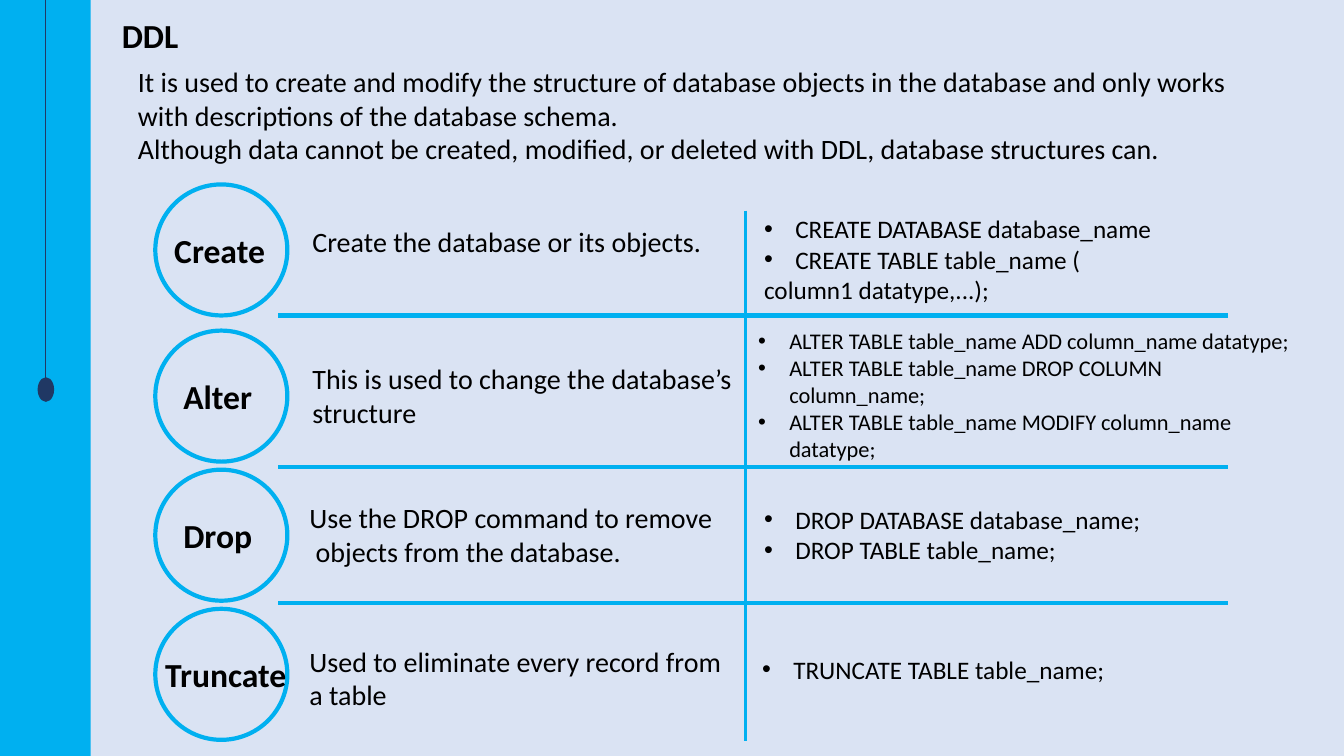
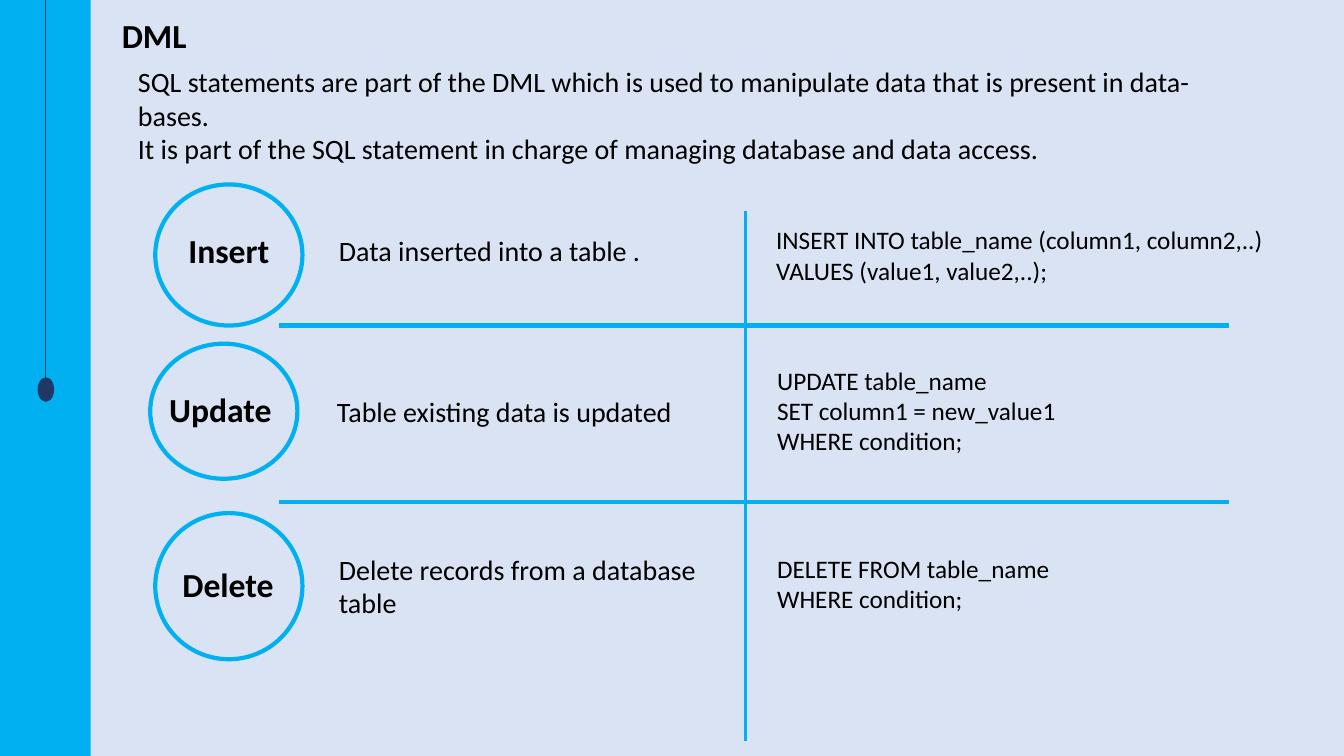
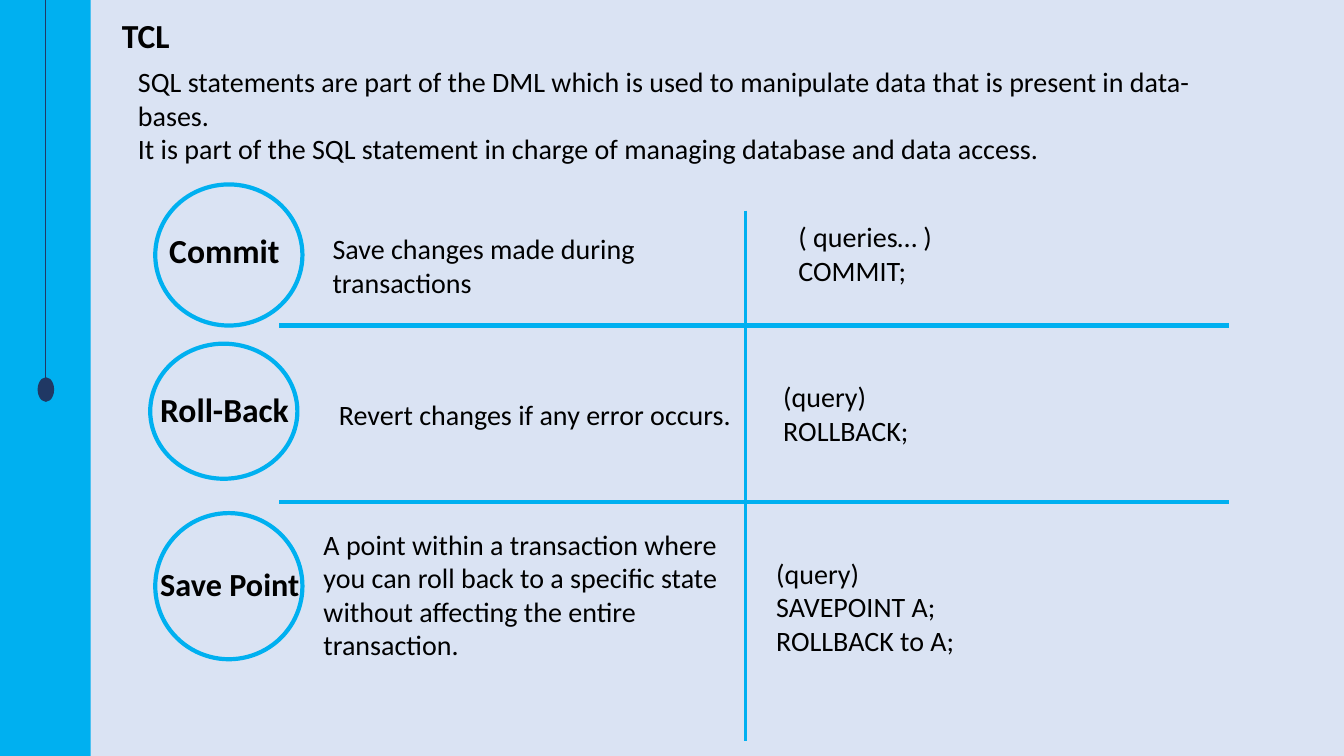
from pptx import Presentation
from pptx.dml.color import RGBColor as Rgb
from pptx.enum.shapes import MSO_CONNECTOR as Link, MSO_SHAPE as Form
from pptx.enum.text import MSO_AUTO_SIZE as Fit
from pptx.oxml.ns import qn
from pptx.util import Emu, Pt
from lxml.etree import SubElement as Sub

SCALE = 9144
WIDE, HIGH = 1333, 750
FONT = "Calibri"
INK = {"back": "DAE3F3", "band": "00B0F0", "pin": "203864", "text": "000000"}


def px(num):
    return Emu(num * SCALE)


def tint(name):
    return Rgb.from_string(INK[name])


def write(frame, text, size=20, bold=False, dots=0):
    for num, line in enumerate(text.split("\n")):
        para = frame.paragraphs[0] if num == 0 else frame.add_paragraph()
        run = para.add_run()
        run.text = line
        font = run.font
        font.name, font.size, font.bold = FONT, Pt(size), bold
        font.color.rgb = tint("text")
        if num < dots:
            props = para._p.get_or_add_pPr()
            props.set("marL", str(px(31)))
            props.set("indent", str(px(-31)))
            Sub(props, qn("a:buFont")).set("typeface", "Arial")
            Sub(props, qn("a:buChar")).set("char", "•")


class Deck:
    def __init__(self):
        self.file = Presentation()
        self.file.slide_width, self.file.slide_height = px(WIDE), px(HIGH)
        self.page = None

    def start(self, title, intro):
        self.page = self.file.slides.add_slide(self.file.slide_layouts[6])
        fill = self.page.background.fill
        fill.solid()
        fill.fore_color.rgb = tint("back")
        self.shape(Form.RECTANGLE, (0, 0, 90, HIGH), fill="band")
        self.line(45, 0, 45, 375, "pin", 0.5)
        self.shape(Form.OVAL, (38, 375, 15, 23), fill="pin", edge="pin", width=1)
        self.text((111, 10, 116, 50), title, size=24, bold=True)
        self.text((127, 59, 1110, 111), intro)

    def shape(self, form, box, fill=None, edge=None, width=3):
        item = self.page.shapes.add_shape(form, *map(px, box))
        item.shadow.inherit = False
        if fill:
            item.fill.solid()
            item.fill.fore_color.rgb = tint(fill)
        else:
            item.fill.background()
        if edge:
            item.line.color.rgb = tint(edge)
            item.line.width = Pt(width)
        else:
            item.line.fill.background()

    def line(self, x1, y1, x2, y2, color="band", width=3):
        item = self.page.shapes.add_connector(Link.STRAIGHT, *map(px, (x1, y1, x2, y2)))
        item.line.color.rgb = tint(color)
        item.line.width = Pt(width)
        Sub(item._element.spPr, qn("a:effectLst"))

    def text(self, box, text, **style):
        frame = self.page.shapes.add_textbox(*map(px, box)).text_frame
        frame.word_wrap = True
        frame.auto_size = Fit.SHAPE_TO_FIT_TEXT
        write(frame, text, **style)

    def grid(self, left, rules):
        for y in rules:
            self.line(left, y, left + 942, y)
        self.line(739, 209, 739, 735, width=2.25)

    def row(self, disc, label, about, code):
        self.shape(Form.OVAL, disc, edge="band")
        box, text, size = label
        self.text(box, text, size=size, bold=True)
        self.text(*about)
        box, text, size, dots = code
        self.text(box, text, size=size, dots=dots)


DISCS = [(154, 183, 146, 140), (149, 341, 146, 134), (154, 509, 146, 145)]
ROUNDS = [(154, y, 131, 130) for y in (183, 328, 466, 604)]
DML = """SQL statements are part of the DML which is used to manipulate data that is present in data-
bases.
It is part of the SQL statement in charge of managing database and data access."""

PAGES = [
    ("DDL", """It is used to create and modify the structure of database objects in the database and only works with descriptions of the database schema.
Although data cannot be created, modified, or deleted with DDL, database structures can.""",
     276, (313, 463, 598), ROUNDS, [
        (((163, 223, 113, 50), "Create", 24),
         ((300, 218, 410, 44), "Create the database or its objects."),
         ((748, 207, 434, 101), "CREATE DATABASE database_name\nCREATE TABLE table_name (\ncolumn1 datatype,...);", 18, 2)),
        (((172, 368, 113, 50), "Alter", 24),
         ((300, 354, 447, 77), "This is used to change the database’s\nstructure"),
         ((742, 320, 554, 145), "ALTER TABLE table_name ADD column_name datatype;\nALTER TABLE table_name DROP COLUMN column_name;\nALTER TABLE table_name MODIFY column_name datatype;", 16, 3)),
        (((172, 506, 94, 50), "Drop", 24),
         ((297, 492, 423, 77), "Use the DROP command to remove\n objects from the database."),
         ((748, 495, 426, 71), "DROP DATABASE database_name;\nDROP TABLE table_name;", 18, 2)),
        (((154, 644, 146, 50), "Truncate", 24),
         ((297, 634, 439, 77), "Used to eliminate every record from\na table"),
         ((746, 644, 363, 40), "TRUNCATE TABLE table_name;", 18, 1)),
    ]),
    ("DML", DML, 277, (323, 498), DISCS, [
        (((177, 223, 113, 50), "Insert", 24),
         ((320, 227, 328, 44), " Data inserted into a table ."),
         ((760, 218, 504, 71), "INSERT INTO table_name (column1, column2,..)\nVALUES (value1, value2,..);", 18, 0)),
        (((158, 381, 127, 50), "Update", 24),
         ((318, 386, 366, 44), " Table existing data is updated"),
         ((761, 357, 493, 101), "UPDATE table_name\nSET column1 = new_value1\nWHERE condition;", 18, 0)),
        (((171, 555, 118, 50), "Delete", 24),
         ((320, 543, 390, 77), " Delete records from a database\n table"),
         ((761, 544, 426, 71), "DELETE FROM table_name\nWHERE condition;", 18, 0)),
    ]),
    ("TCL", DML, 277, (323, 498), DISCS, [
        (((158, 223, 131, 50), "Commit", 24),
         ((320, 225, 408, 77), "Save changes made during transactions"),
         ((782, 213, 288, 77), "( queries… )\nCOMMIT;", 20, 0)),
        (((149, 381, 151, 50), "Roll-Back", 24),
         ((320, 389, 419, 44), " Revert changes if any error occurs."),
         ((767, 372, 376, 77), "(query)\nROLLBACK;", 20, 0)),
        (((149, 555, 171, 50), "Save Point", 23),
         ((311, 518, 421, 145), "A point within a transaction where\nyou can roll back to a specific state\nwithout affecting the entire\ntransaction."),
         ((760, 547, 376, 111), "(query)\nSAVEPOINT A;\nROLLBACK to A;", 20, 0)),
    ]),
]


def main():
    deck = Deck()
    for title, intro, left, rules, discs, rows in PAGES:
        deck.start(title, intro)
        deck.grid(left, rules)
        for disc, row in zip(discs, rows):
            deck.row(disc, *row)
    deck.file.save("out.pptx")


if __name__ == "__main__":
    main()
